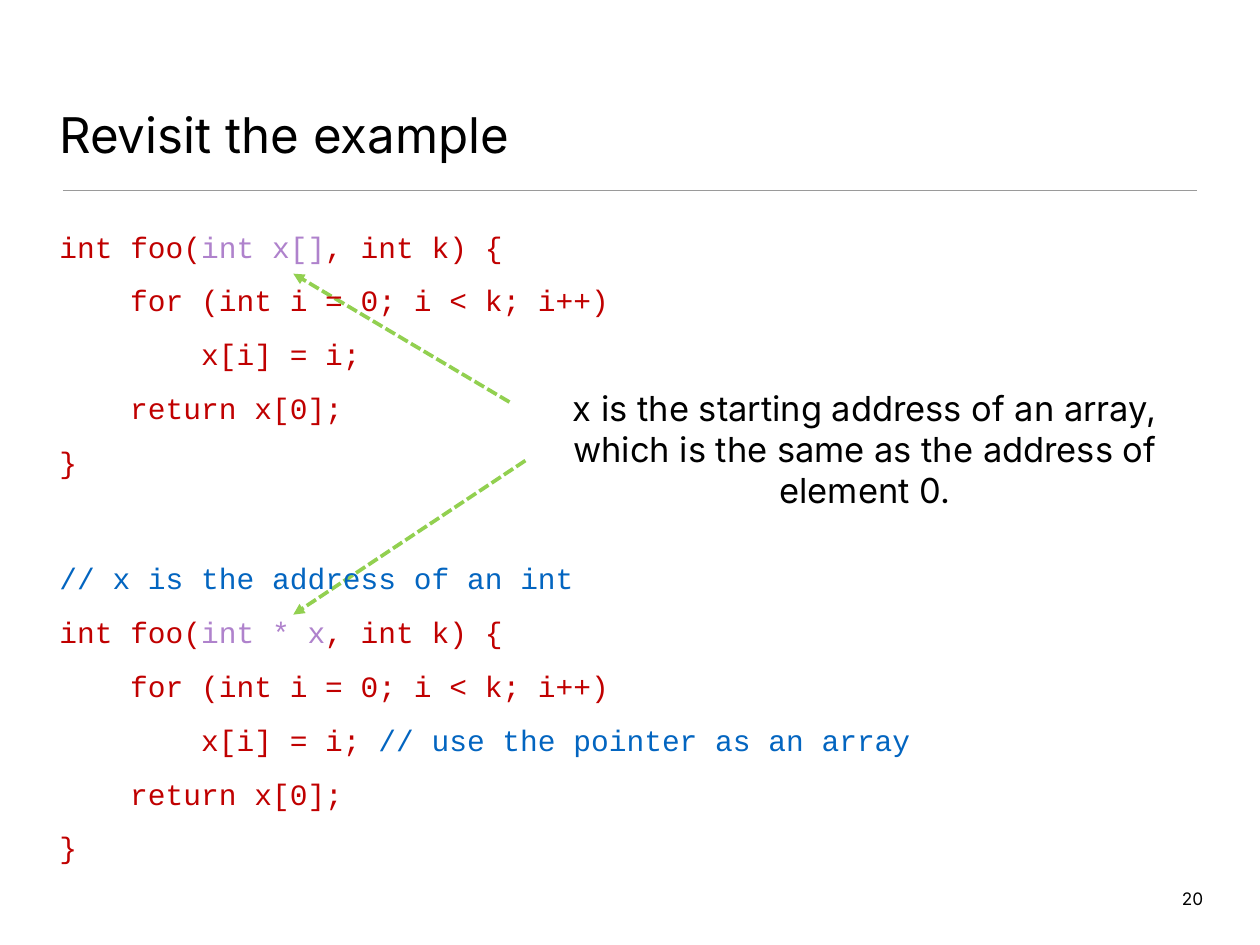
"""Builds a slide comparing array and pointer parameters in C."""
from lxml import etree
from pptx import Presentation
from pptx.dml.color import RGBColor
from pptx.enum.dml import MSO_LINE
from pptx.enum.shapes import MSO_CONNECTOR
from pptx.enum.text import MSO_ANCHOR, PP_ALIGN
from pptx.oxml.ns import qn
from pptx.util import Inches, Pt

COLORS = {"text": "000000", "code": "C00000", "param": "AF82CC",
          "comment": "0365C0", "arrow": "92D050", "rule": "9A9A9A"}

prs = Presentation()
prs.slide_width, prs.slide_height = Inches(14.22), Inches(10.67)
s = prs.slides.add_slide(prs.slide_layouts[6])


def add_line(start, end, color, width):
    sp = s.shapes.add_connector(MSO_CONNECTOR.STRAIGHT, *map(Inches, start + end))
    sp.line.color.rgb = RGBColor.from_string(COLORS[color])
    sp.line.width = Pt(width)
    etree.SubElement(sp._element.spPr, qn("a:effectLst"))
    return sp


def add_text(box, inset, anchor=MSO_ANCHOR.TOP):
    tf = s.shapes.add_textbox(*map(Inches, box)).text_frame
    tf.margin_left = tf.margin_right = tf.margin_top = tf.margin_bottom = Inches(inset)
    tf.vertical_anchor = anchor
    tf.word_wrap = True
    return tf


add_line((0.71, 2.15), (13.51, 2.15), "rule", 1)
for start, end in [((5.75, 4.54), (3.31, 3.09)), ((5.93, 5.2), (3.31, 6.94))]:
    sp = add_line(start, end, "arrow", 3)
    sp.line.dash_style = MSO_LINE.SQUARE_DOT
    etree.SubElement(sp.line._get_or_add_ln(), qn("a:tailEnd"), type="triangle")

title = add_text((0.63, 0.36, 12.97, 1.53), 0.04, MSO_ANCHOR.BOTTOM)
number = add_text((13.02, 9.99, 0.6, 0.3), 0.04)
note = add_text((5.93, 4.54, 7.66, 1.05), 0.06, MSO_ANCHOR.MIDDLE)
for tf, text, size, align in [
    (title, "Revisit the example", 40, PP_ALIGN.LEFT),
    (number, "20", 14, PP_ALIGN.RIGHT),
    (note, "x is the starting address of an array, which is the same as "
           "the address of element 0.", 28, PP_ALIGN.CENTER),
]:
    p = tf.paragraphs[0]
    p.text = text
    p.alignment = align
    p.font.name, p.font.size = "Inter", Pt(size)
    p.font.color.rgb = RGBColor.from_string(COLORS["text"])

LINE_GAP, BLOCK_GAP, INDENT = 15, 65.5, 0.8
loop = (1, [("for (int i = 0; i < k; i++)", "code")])
ending = [(1, [("return x[0];", "code")]), (0, [("}", "code")])]
heads = [(0, [("int foo(", "code"), (param, "param"), (", int k) {", "code")])
         for param in ("int x[]", "int * x")]
array_version = [heads[0], loop, (2, [("x[i] = i;", "code")]), *ending]
pointer_version = [
    (0, [("// x is the address of an int", "comment")]),
    heads[1], loop,
    (2, [("x[i] = i; ", "code"), ("// use the pointer as an array", "comment")]),
    *ending,
]

tf = add_text((0.63, 2.54, 12.97, 7.62), 0.04)
for i, (level, runs) in enumerate(array_version + pointer_version):
    p = tf.add_paragraph() if i else tf.paragraphs[0]
    p.space_before = Pt(BLOCK_GAP if i == len(array_version) else LINE_GAP if i else 0)
    p.font.name, p.font.size = "Courier New", Pt(24)
    p._p.get_or_add_pPr().set("marL", str(Inches(level * INDENT)))
    for text, color in runs:
        r = p.add_run()
        r.text = text
        r.font.color.rgb = RGBColor.from_string(COLORS[color])

prs.save("out.pptx")
